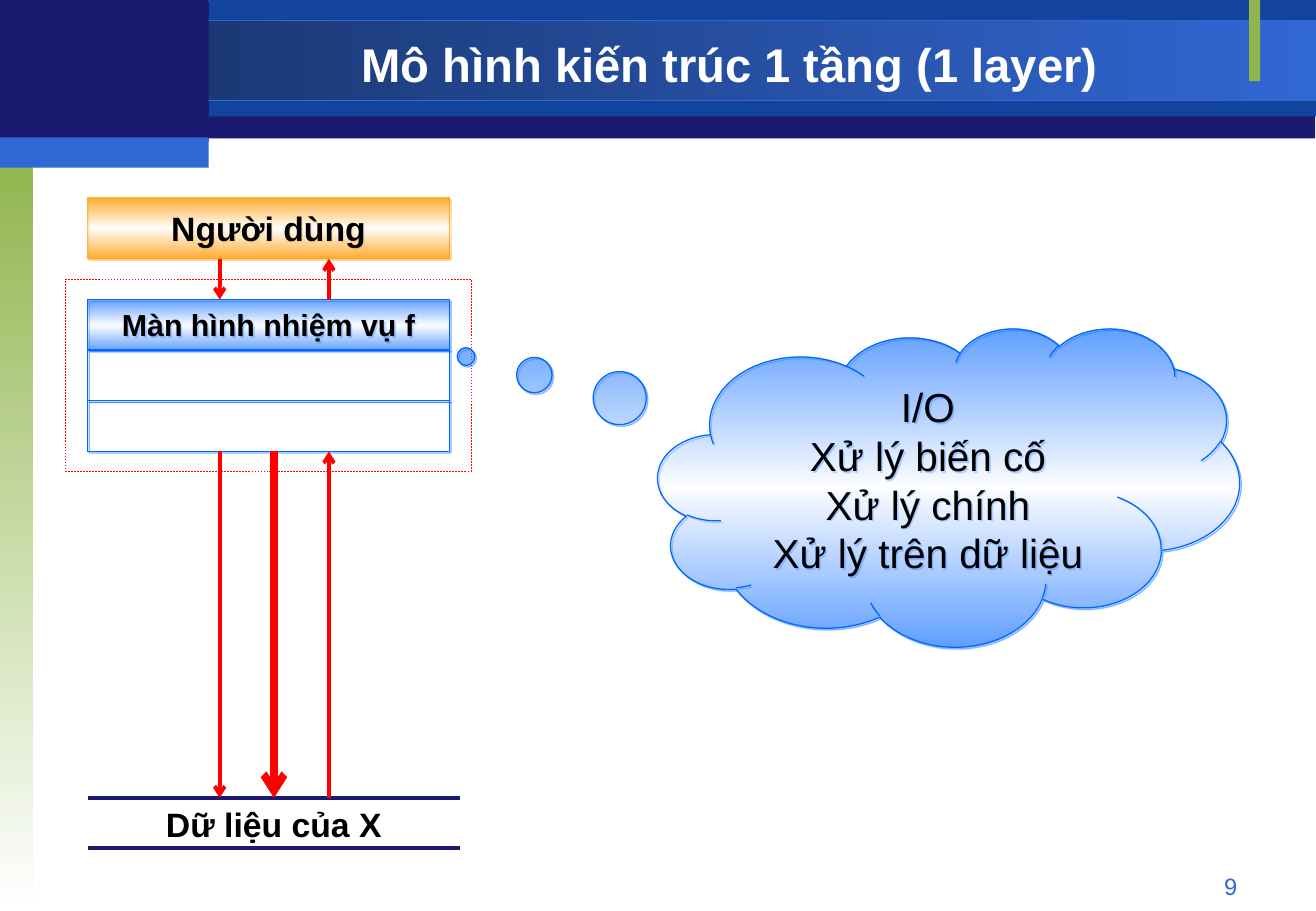
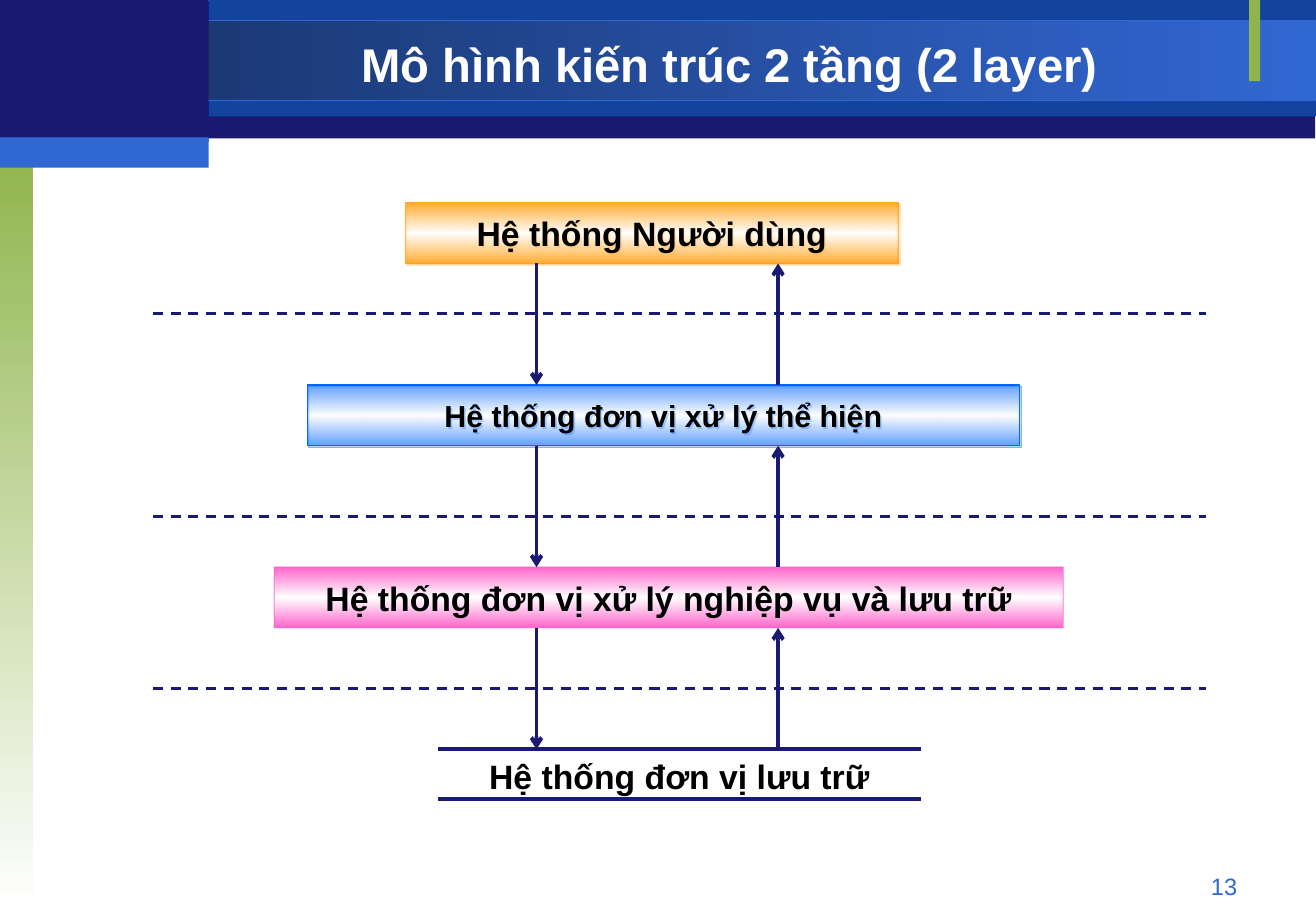
from dataclasses import dataclass
from lxml.etree import SubElement
from pptx import Presentation
from pptx.dml.color import RGBColor
from pptx.enum.dml import MSO_LINE
from pptx.enum.shapes import MSO_CONNECTOR, MSO_SHAPE
from pptx.enum.text import MSO_ANCHOR, PP_ALIGN
from pptx.oxml.ns import qn
from pptx.util import Pt


@dataclass(frozen=True)
class Theme:
    font: str = "Arial"
    navy: str = "1A1A70"
    royal: str = "12449E"
    deep: str = "173062"
    bright: str = "3167D3"
    green: str = "90B54D"
    white: str = "FFFFFF"
    black: str = "000000"
    orange: str = "FF9900"
    blue: str = "0066FF"
    pink: str = "FF66CC"
    red: str = "FF0000"
    title_size: float = 28
    cloud_size: float = 24
    label_size: float = 20
    screen_size: float = 18
    number_size: float = 14


THEME = Theme()


def points(*lengths):
    return [Pt(length) for length in lengths]


def add_alpha(color_element, percent):
    if percent < 100:
        SubElement(color_element, qn("a:alpha"), val=str(percent * 1000))


def write_text(frame, text, *, size, color=THEME.black, bold=False,
               align=PP_ALIGN.CENTER, anchor=MSO_ANCHOR.MIDDLE):
    frame.word_wrap = True
    frame.vertical_anchor = anchor
    frame.text = text
    for para in frame.paragraphs:
        para.alignment = align
        for span in para.runs:
            span.font.name = THEME.font
            span.font.size = Pt(size)
            span.font.bold = bold
            span.font.color.rgb = RGBColor.from_string(color)


class Slides:
    def __init__(self):
        self.deck = Presentation()
        self.deck.slide_width, self.deck.slide_height = points(780.48, 540)
        self.layout = self.deck.slide_layouts[5]
        self.page = None

    def prepare_layout(self):
        for holder in list(self.layout.placeholders):
            if holder.placeholder_format.idx:
                holder.element.getparent().remove(holder.element)
            else:
                holder.left, holder.top, holder.width, holder.height = points(123.8, 16.6, 617.8, 41.8)
        bands = [
            self.shape((0, 0.7, 780, 81.4), fill=THEME.navy),
            self.shape((123.8, 0, 656.6, 69), fill=THEME.royal),
            self.shape((0, 12.2, 780, 47.5), gradient=(THEME.deep, THEME.bright),
                       angle=0, line=THEME.bright),
            self.shape((0, 90, 19.4, 450), gradient=(THEME.green, THEME.white)),
            self.shape((740.9, 0, 6.5, 48.2), fill=THEME.green),
            self.shape((0, 0, 123.8, 84.2), fill=THEME.navy),
            self.shape((0, 81.4, 123.8, 18), fill=THEME.bright),
        ]
        for place, band in enumerate(bands, start=2):
            self.layout.shapes.element.insert(place, band.element)

    def new_page(self, title, number):
        first = self.page is None
        self.page = self.deck.slides.add_slide(self.layout)
        if first:
            self.prepare_layout()
        write_text(self.page.shapes.title.text_frame, title,
                   size=THEME.title_size, color=THEME.white, bold=True)
        self.text((558.7, 513.4, 182.2, 19.4), number, size=THEME.number_size,
                  color=THEME.bright, align=PP_ALIGN.RIGHT, anchor=MSO_ANCHOR.TOP)

    def text(self, area, text, **style):
        box = self.page.shapes.add_textbox(*points(*area))
        write_text(box.text_frame, text, **style)
        return box

    def shape(self, area, kind=MSO_SHAPE.RECTANGLE, *, fill=None, gradient=None,
              angle=270, alpha=100, line=None, line_alpha=100, weight=0.75,
              dash=None, shadow=None):
        shape = self.page.shapes.add_shape(kind, *points(*area))
        properties = shape.element.spPr
        if gradient:
            shape.fill.gradient()
            shape.fill.gradient_angle = angle
            stops = properties.find(qn("a:gradFill")).find(qn("a:gsLst"))
            stops.clear()
            for index, color in enumerate(gradient):
                position = index * 100000 // (len(gradient) - 1)
                stop = SubElement(stops, qn("a:gs"), pos=str(position))
                add_alpha(SubElement(stop, qn("a:srgbClr"), val=color), alpha)
        elif fill:
            shape.fill.solid()
            shape.fill.fore_color.rgb = RGBColor.from_string(fill)
        else:
            shape.fill.background()
        if line:
            shape.line.color.rgb = RGBColor.from_string(line)
            shape.line.width = Pt(weight)
            shape.line.dash_style = dash
            add_alpha(next(properties.find(qn("a:ln")).iter(qn("a:srgbClr"))), line_alpha)
        else:
            shape.line.fill.background()
        shape.shadow.inherit = False
        if shadow:
            outer = SubElement(properties.find(qn("a:effectLst")), qn("a:outerShdw"),
                               dist=str(Pt(1.4)), dir="2700000", algn="ctr", rotWithShape="0")
            add_alpha(SubElement(outer, qn("a:srgbClr"), val=shadow), 50)
        return shape

    def glossy(self, area, text, color, *, kind=MSO_SHAPE.RECTANGLE, alpha=100,
               line_alpha=100, shadow=True, size=THEME.label_size, bold=True):
        shape = self.shape(area, kind, gradient=(color, THEME.white, color), alpha=alpha,
                           line=color, line_alpha=line_alpha,
                           shadow=color if shadow else None)
        write_text(shape.text_frame, text, size=size, bold=bold)
        return shape

    def user_box(self, area, text):
        return self.glossy(area, text, THEME.orange, alpha=71, line_alpha=60)

    def screen_box(self, area, text):
        return self.glossy(area, text, THEME.blue, alpha=50, size=THEME.screen_size)

    def line(self, start, end, color=THEME.navy, *, weight=2.25, dash=None, arrow=False):
        line = self.page.shapes.add_connector(MSO_CONNECTOR.STRAIGHT, *points(*start, *end))
        line.line.color.rgb = RGBColor.from_string(color)
        line.line.width = Pt(weight)
        line.line.dash_style = dash
        properties = line.element.spPr
        if arrow:
            SubElement(properties.find(qn("a:ln")), qn("a:tailEnd"), type="arrow")
        SubElement(properties, qn("a:effectLst"))
        return line

    def exchange(self, down_x, up_x, top, bottom, color=THEME.navy):
        self.line((down_x, top), (down_x, bottom), color, arrow=True)
        self.line((up_x, bottom), (up_x, top), color, arrow=True)

    def store(self, left, top, width, text):
        for y in (top, top + 29.6):
            self.line((left, y), (left + width, y))
        return self.text((left, top, width, 31.7), text, size=THEME.label_size,
                         bold=True, anchor=MSO_ANCHOR.TOP)


def one_layer(slides):
    slides.new_page("Mô hình kiến trúc 1 tầng (1 layer)", "9")
    left, width, row = 52, 214.6, 30
    user_bottom, screen_top, store_top = 153.4, 177.6, 473
    screen_bottom = screen_top + 3 * row
    slides.user_box((left, user_bottom - 36, width, 36), "Người dùng")
    store = slides.store(left, store_top, 221, "Dữ liệu của X")
    slides.screen_box((left, screen_top, width, row), "Màn hình nhiệm vụ f")
    for index in (1, 2):
        slides.shape((left, screen_top + index * row, width, row),
                     line=THEME.blue, shadow=THEME.blue)
    for top, bottom in ((user_bottom, screen_top), (screen_bottom, store_top)):
        slides.exchange(130.3, 195.1, top, bottom, THEME.red)
    main_flow = slides.line((162.5, screen_bottom), (162.5, store_top), THEME.red,
                            weight=4.5, arrow=True)
    main_flow.end_connect(store, 0)
    slides.shape((38.9, 165.6, 240.5, 113.8), line=THEME.red, weight=0.25, dash=MSO_LINE.DASH)
    cloud = slides.glossy((390.2, 194.4, 344.9, 188.6),
                          "I/O\nXử lý biến cố\nXử lý chính\nXử lý trên dữ liệu",
                          THEME.blue, kind=MSO_SHAPE.CLOUD_CALLOUT, alpha=50,
                          size=THEME.cloud_size, bold=False)
    cloud.adjustments[0] = -0.83
    cloud.adjustments[1] = -0.41


def two_layers(slides):
    slides.new_page("Mô hình kiến trúc 2 tầng (2 layer)", "13")
    height, pitch = 36, 108
    user_top, screen_top, business_top, store_top = [120.2 + pitch * step for step in range(4)]
    slides.user_box((240.5, user_top, 292.3, height), "Hệ thống Người dùng")
    slides.screen_box((182.2, screen_top, 422.6, height), "Hệ thống đơn vị xử lý thể hiện")
    slides.glossy((162.7, business_top, 468, height),
                  "Hệ thống đơn vị xử lý nghiệp vụ và lưu trữ",
                  THEME.pink, line_alpha=60, shadow=False)
    slides.store(260, store_top, 286, "Hệ thống đơn vị lưu trữ")
    for top in (user_top, screen_top, business_top):
        slides.exchange(318.2, 461.5, top + height, top + pitch)
    for y in (185.8, 306, 408.2):
        slides.line((90.7, y), (715, y), weight=1.5, dash=MSO_LINE.DASH)


def main():
    slides = Slides()
    one_layer(slides)
    two_layers(slides)
    slides.deck.save("out.pptx")


if __name__ == "__main__":
    main()
